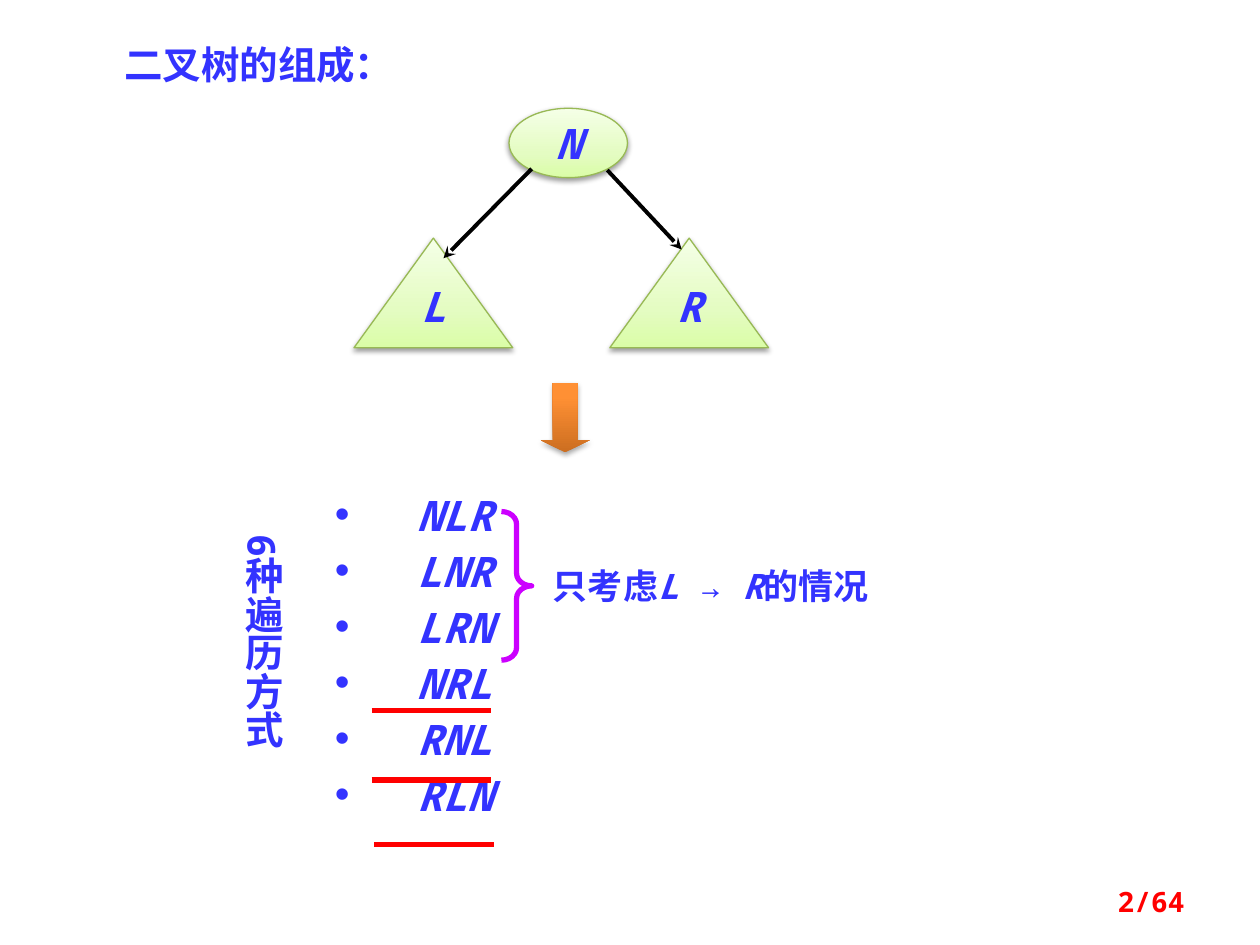
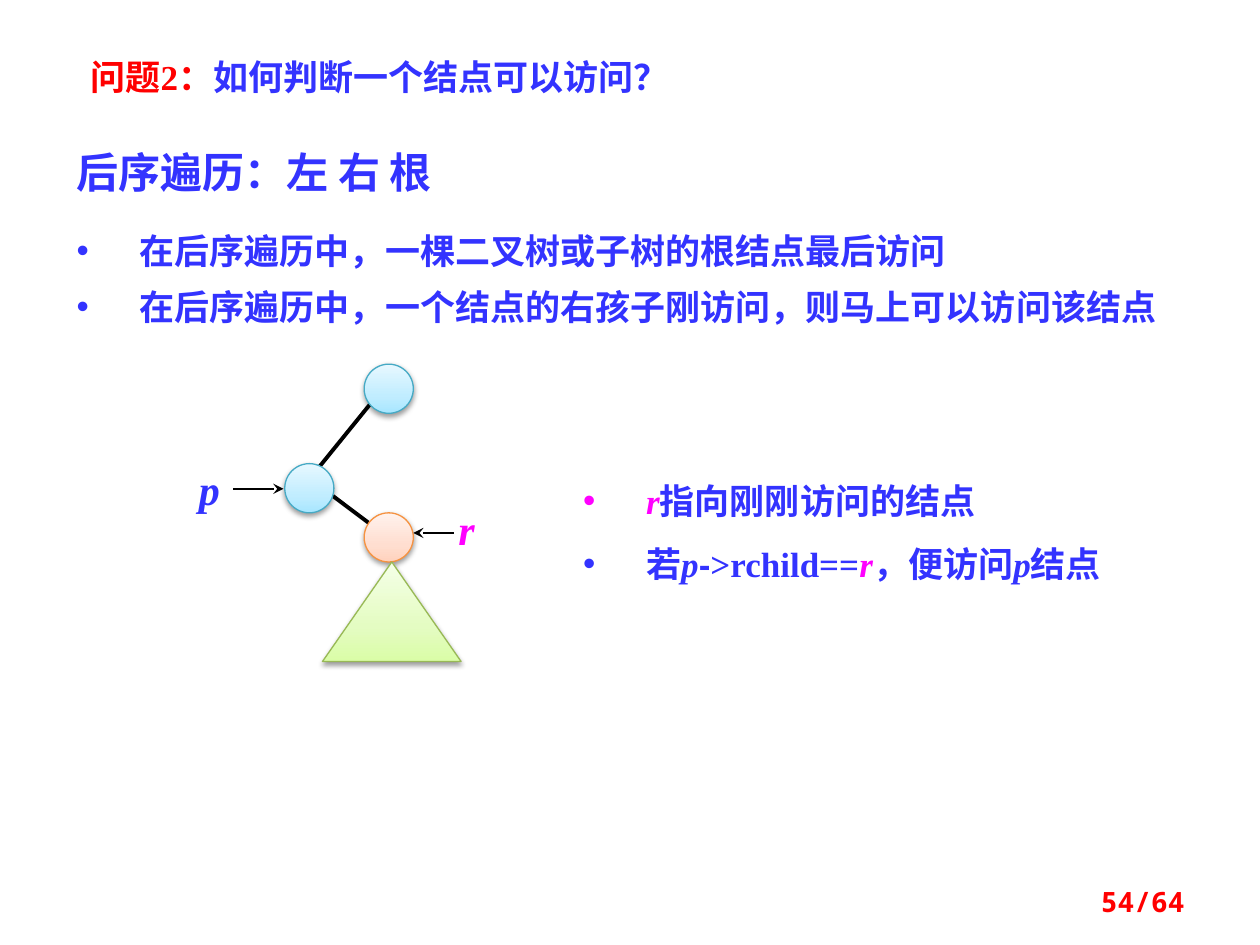
from dataclasses import dataclass
from typing import Any, NamedTuple, Optional

import lxml.etree
import pptx
import pptx.dml.color
import pptx.enum.lang
import pptx.enum.shapes
import pptx.enum.text
import pptx.oxml.ns
import pptx.util

Inches = pptx.util.Inches
Pt = pptx.util.Pt
Shapes = pptx.enum.shapes.MSO_SHAPE
Align = pptx.enum.text.PP_ALIGN
Anchor = pptx.enum.text.MSO_ANCHOR
qn = pptx.oxml.ns.qn


class GradientStyle(NamedTuple):
    stops: tuple[tuple[int, str], ...]
    outline: Optional[str]
    shadow_alpha: int = 38
    shadow_distance: float = 1.6


@dataclass(frozen=True)
class Theme:
    blue: str = "3333FF"
    red: str = "FF0000"
    magenta: str = "FF00FF"
    purple: str = "CC00FF"
    black: str = "000000"
    serif: str = "Times New Roman"
    mono: str = "Noto Sans Mono"
    chinese: str = "Noto Sans CJK SC"
    sans: str = "Arial"
    large: int = 24
    heading: int = 22
    body: int = 20
    footer: int = 16
    green: GradientStyle = GradientStyle(
        ((0, "DAFDA7"), (35, "E4FCC2"), (100, "F5FFE7")), "98B955")
    sky: GradientStyle = GradientStyle(
        ((0, "A7E6FF"), (35, "C1EDFF"), (100, "E7F8FF")), "46AAC5")
    peach: GradientStyle = GradientStyle(
        ((0, "FFD2BD"), (35, "FFDED0"), (100, "FFF2ED")), "F69240")
    orange: GradientStyle = GradientStyle(
        ((0, "CC6E20"), (80, "FF9034"), (100, "FF9136")), None, 35, 1.8)


THEME = Theme()


class Box(NamedTuple):
    left: float
    top: float
    width: float
    height: float

    def inches(self) -> list[int]:
        return [Inches(value) for value in self]


class Run(NamedTuple):
    """A piece of text; unset values come from its paragraph."""
    text: str
    italic: Optional[bool] = None
    color: Optional[str] = None
    font: Optional[str] = None


@dataclass(frozen=True)
class TextStyle:
    size: int
    font: str = THEME.serif
    color: str = THEME.blue
    italic: Optional[bool] = None
    align: Optional[Align] = None
    bullet_indent: float = 0
    line_spacing: Any = None
    space_before: float = 0


class Line(NamedTuple):
    start: tuple[float, float]
    end: tuple[float, float]
    width: float = 2.25
    arrow: bool = False
    color: str = THEME.black


def rgb(color: str) -> pptx.dml.color.RGBColor:
    return pptx.dml.color.RGBColor.from_string(color)


def add_element(parent: Any, tag: str, **attributes: Any) -> Any:
    values = {name: str(value) for name, value in attributes.items()}
    return lxml.etree.SubElement(parent, qn(tag), values)


def add_bullet(paragraph: Any, indent: float, color: str) -> None:
    properties = paragraph._p.get_or_add_pPr()
    properties.set("marL", str(Inches(indent)))
    properties.set("indent", str(-Inches(indent)))
    add_element(add_element(properties, "a:buClr"), "a:srgbClr", val=color)
    add_element(properties, "a:buFont", typeface=THEME.sans)
    add_element(properties, "a:buChar", char="•")


def write_text(frame: Any, paragraphs: list[list[Run]], style: TextStyle) -> None:
    for index, runs in enumerate(paragraphs):
        paragraph = frame.add_paragraph() if index else frame.paragraphs[0]
        if style.align is not None:
            paragraph.alignment = style.align
        if style.line_spacing is not None:
            paragraph.line_spacing = style.line_spacing
        if index and style.space_before:
            paragraph.space_before = Pt(style.space_before)
        if style.bullet_indent:
            add_bullet(paragraph, style.bullet_indent, runs[0].color or style.color)
        font = paragraph.font
        font.name, font.size = style.font, Pt(style.size)
        font.bold, font.italic = True, style.italic
        font.color.rgb = rgb(style.color)
        font.language_id = pptx.enum.lang.MSO_LANGUAGE_ID.SIMPLIFIED_CHINESE
        for part in runs:
            run = paragraph.add_run()
            run.text = part.text
            if part.italic is not None:
                run.font.italic = part.italic
            if part.color:
                run.font.color.rgb = rgb(part.color)
            if part.font:
                run.font.name = part.font


def add_text(slide: Any, box: Box, paragraphs: list[list[Run]], style: TextStyle) -> Any:
    frame = slide.shapes.add_textbox(*box.inches()).text_frame
    frame.word_wrap = True
    frame.auto_size = pptx.enum.text.MSO_AUTO_SIZE.SHAPE_TO_FIT_TEXT
    write_text(frame, paragraphs, style)
    return frame


def add_gradient_shape(slide: Any, kind: Shapes, box: Box, style: GradientStyle) -> Any:
    shape = slide.shapes.add_shape(kind, *box.inches())
    shape.fill.gradient()
    properties = shape._element.spPr
    gradient = properties.find(qn("a:gradFill"))
    for child in list(gradient):
        gradient.remove(child)
    stops = add_element(gradient, "a:gsLst")
    for position, color in style.stops:
        stop = add_element(stops, "a:gs", pos=position * 1000)
        add_element(stop, "a:srgbClr", val=color)
    add_element(gradient, "a:lin", ang=270 * 60000, scaled=0)
    if style.outline:
        shape.line.color.rgb = rgb(style.outline)
        shape.line.width = Pt(0.75)
    else:
        shape.line.fill.background()
    shape.shadow.inherit = False
    shadow = add_element(
        properties.find(qn("a:effectLst")), "a:outerShdw", blurRad=Pt(3.1),
        dist=Pt(style.shadow_distance), dir=90 * 60000, rotWithShape=0)
    color = add_element(shadow, "a:srgbClr", val=THEME.black)
    add_element(color, "a:alpha", val=style.shadow_alpha * 1000)
    return shape


def add_line(slide: Any, line: Line) -> None:
    connector = slide.shapes.add_connector(
        pptx.enum.shapes.MSO_CONNECTOR.STRAIGHT,
        *[Inches(value) for value in (*line.start, *line.end)])
    connector.line.color.rgb = rgb(line.color)
    connector.line.width = Pt(line.width)
    if line.arrow:
        add_element(connector.line._get_or_add_ln(), "a:tailEnd", type="stealth")
    add_element(connector._element.spPr, "a:effectLst")


def add_slide(presentation: Any, number: int) -> Any:
    """Add a blank slide with its page number."""
    slide = presentation.slides.add_slide(presentation.slide_layouts[6])
    box = slide.shapes.add_textbox(*Box(7.17, 6.95, 2.33, 0.4).inches())
    box.text_frame.word_wrap = True
    box.text_frame.vertical_anchor = Anchor.MIDDLE
    write_text(box.text_frame, [[Run(f"{number}/64")]],
               TextStyle(THEME.footer, THEME.mono, THEME.red, align=Align.RIGHT))
    return slide


def build_traversal_orders(presentation: Any) -> None:
    slide = add_slide(presentation, 2)
    add_text(slide, Box(0.6, 0.28, 2.91, 0.47), [[Run("二叉树的组成：")]],
             TextStyle(THEME.heading, align=Align.CENTER))

    tree_parts = [
        ("N", Shapes.OVAL, Box(4.04, 0.86, 0.94, 0.55), None),
        ("L", Shapes.ISOSCELES_TRIANGLE, Box(2.81, 1.89, 1.26, 0.87), Pt(12)),
        ("R", Shapes.ISOSCELES_TRIANGLE, Box(4.84, 1.89, 1.26, 0.87), Pt(12)),
    ]
    for label, kind, box, spacing in tree_parts:
        shape = add_gradient_shape(slide, kind, box, THEME.green)
        shape.text_frame.word_wrap = kind != Shapes.OVAL
        shape.text_frame.vertical_anchor = Anchor.MIDDLE
        write_text(shape.text_frame, [[Run(label)]],
                   TextStyle(THEME.large, THEME.mono, italic=True,
                             align=Align.CENTER, line_spacing=spacing))
    add_line(slide, Line((4.22, 1.34), (3.52, 2.05), arrow=True))
    add_line(slide, Line((4.82, 1.35), (5.41, 1.98), arrow=True))

    down_arrow = add_gradient_shape(
        slide, Shapes.DOWN_ARROW, Box(4.29, 3.04, 0.39, 0.55), THEME.orange)
    down_arrow.adjustments[1] = 0.25

    orders = ["NLR", "LNR", "LRN", "NRL", "RNL", "RLN"]
    add_text(slide, Box(2.56, 3.91, 1.73, 3.05), [[Run(order)] for order in orders],
             TextStyle(THEME.large, THEME.mono, italic=True, bullet_indent=0.65,
                       line_spacing=0.8, space_before=9))
    caption = add_text(slide, Box(1.75, 4.14, 0.57, 2.6), [[Run("6种遍历方式")]],
                       TextStyle(THEME.heading, THEME.mono, align=Align.CENTER))
    caption._txBody.bodyPr.set("vert", "eaVert")

    for left, top in [(2.95, 5.64), (2.95, 6.19), (2.97, 6.7)]:
        add_line(slide, Line((left, top), (left + 0.95, top), 3, color=THEME.red))
    add_text(slide, Box(4.29, 4.43, 3.21, 0.44),
             [[Run("只考虑"), Run("L ", True), Run("→ "), Run("R", True), Run("的情况")]],
             TextStyle(THEME.body, THEME.mono))
    brace = slide.shapes.add_shape(
        Shapes.RIGHT_BRACE, *Box(3.98, 4.06, 0.24, 1.18).inches())
    brace.adjustments[0] = 0.417
    brace.fill.background()
    brace.line.color.rgb = rgb(THEME.purple)
    brace.line.width = Pt(3)
    brace.shadow.inherit = False


def build_visit_condition(presentation: Any) -> None:
    slide = add_slide(presentation, 54)
    add_text(slide, Box(0.62, 0.39, 6.25, 0.44),
             [[Run("问题2：", color=THEME.red), Run("如何判断一个结点可以访问？")]],
             TextStyle(THEME.body))
    add_text(slide, Box(0.51, 1.11, 3.86, 0.5), [[Run("后序遍历：左 右 根")]],
             TextStyle(THEME.large, THEME.chinese))
    add_text(slide, Box(0.51, 1.66, 8.78, 1),
             [[Run("在后序遍历中，一棵二叉树或子树的根结点最后访问")],
              [Run("在后序遍历中，一个结点的右孩子刚访问，则马上可以访问该结点")]],
             TextStyle(THEME.body, bullet_indent=0.5, line_spacing=Pt(32)))

    add_line(slide, Line((2.96, 3.18), (2.49, 3.76)))
    add_line(slide, Line((2.62, 3.92), (2.94, 4.16)))
    for left, top, style in [(2.89, 2.89, THEME.sky), (2.26, 3.68, THEME.sky),
                             (2.89, 4.07, THEME.peach)]:
        add_gradient_shape(slide, Shapes.OVAL, Box(left, top, 0.39, 0.39), style)
    add_line(slide, Line((1.85, 3.88), (2.25, 3.88), 0.75, arrow=True))
    add_line(slide, Line((3.6, 4.23), (3.28, 4.23), 0.75, arrow=True))
    add_gradient_shape(slide, Shapes.ISOSCELES_TRIANGLE,
                       Box(2.56, 4.46, 1.1, 0.79), THEME.green)
    for name, box, color in [("r", Box(3.54, 3.95, 0.47, 0.5), THEME.magenta),
                             ("p", Box(1.48, 3.63, 0.55, 0.5), THEME.blue)]:
        add_text(slide, box, [[Run(name)]],
                 TextStyle(THEME.large, color=color, italic=True))

    pointer_r = Run("r", True, THEME.magenta)
    pointer_p = Run("p", True)
    add_text(slide, Box(4.53, 3.59, 4.61, 1.11),
             [[pointer_r, Run("指向刚刚访问的结点")],
              [Run("若"), pointer_p, Run("-", font=THEME.sans), Run(">rchild=="),
               pointer_r, Run("，便访问"), pointer_p, Run("结点")]],
             TextStyle(THEME.body, bullet_indent=0.5, line_spacing=1.5))


def main() -> None:
    presentation = pptx.Presentation()
    presentation.slide_width = Inches(10)
    presentation.slide_height = Inches(7.5)
    build_traversal_orders(presentation)
    build_visit_condition(presentation)
    presentation.save("out.pptx")


if __name__ == "__main__":
    main()
